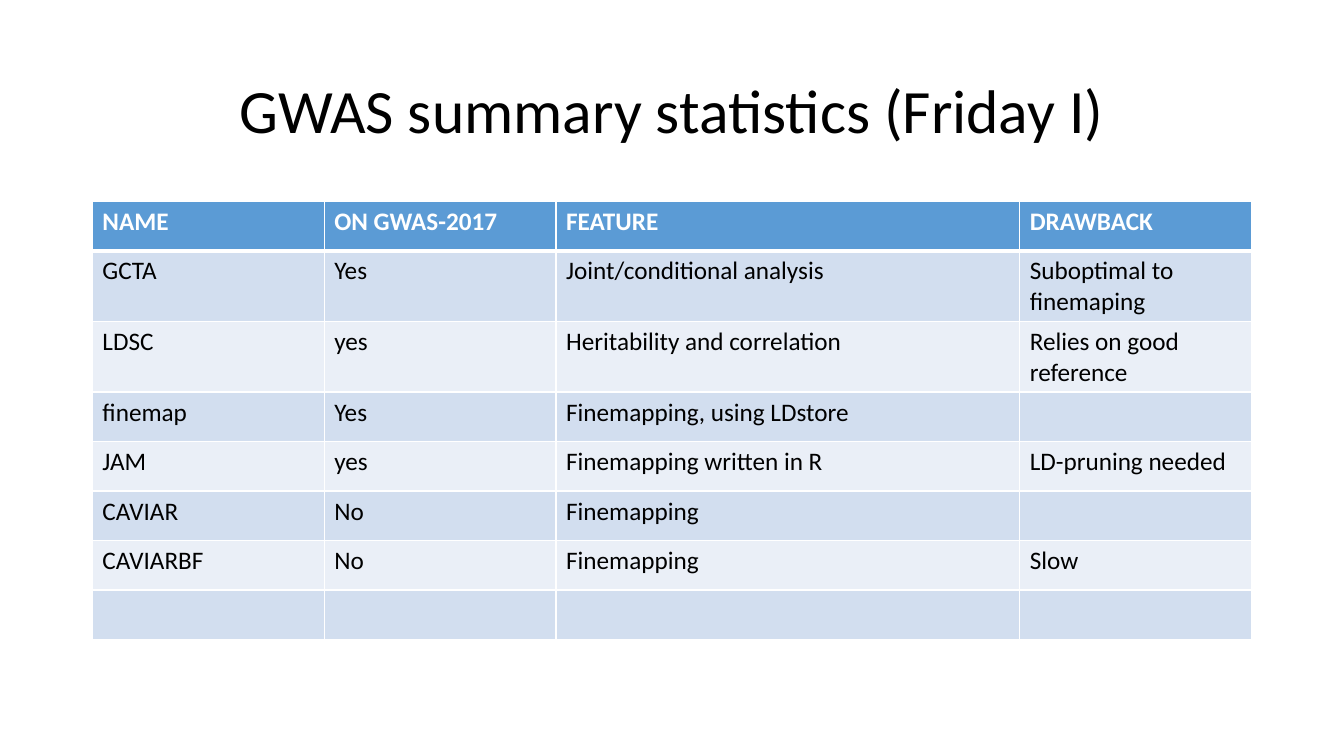
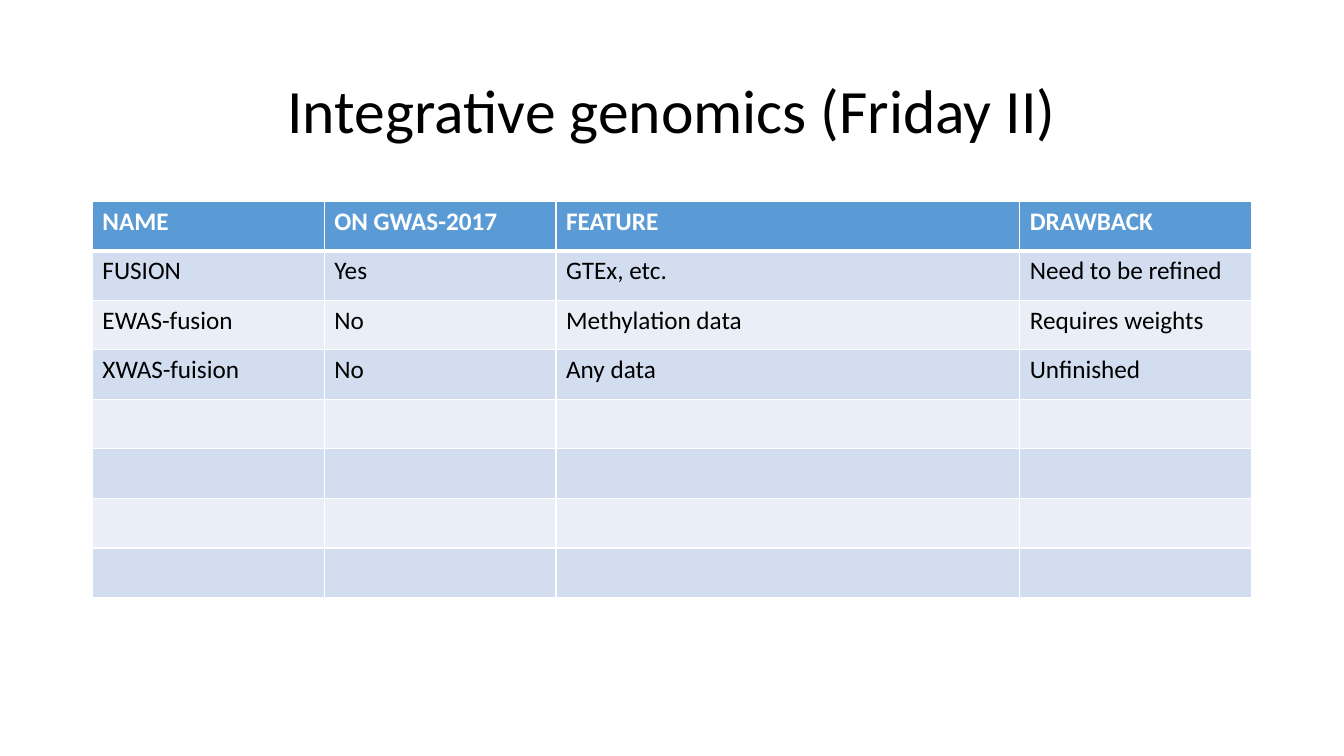
from dataclasses import dataclass

from pptx import Presentation
from pptx.dml.color import RGBColor
from pptx.enum.text import MSO_ANCHOR, PP_ALIGN
from pptx.oxml import parse_xml
from pptx.oxml.ns import nsdecls
from pptx.util import Pt


@dataclass(frozen=True)
class Theme:
    font: str = "Calibri"
    title_size: float = 44
    table_size: float = 18
    text: str = "000000"
    header_text: str = "FFFFFF"
    header_fill: str = "5B9BD5"
    bands: tuple = ("D2DEEF", "EAEFF7")
    rule: str = "FFFFFF"
    thin_rule: float = 1
    header_rule: float = 3


THEME = Theme()
HEADINGS = ("NAME", "ON GWAS-2017", "FEATURE", "DRAWBACK")
BODY_ROWS = 7
SLIDES = [
    ("GWAS summary statistics (Friday I)", [
        ("GCTA", "Yes", "Joint/conditional analysis", "Suboptimal to finemaping"),
        ("LDSC", "yes", "Heritability and correlation", "Relies on good reference"),
        ("finemap", "Yes", "Finemapping, using LDstore", ""),
        ("JAM", "yes", "Finemapping written in R", "LD-pruning needed"),
        ("CAVIAR", "No", "Finemapping", ""),
        ("CAVIARBF", "No", "Finemapping", "Slow"),
    ]),
    ("Integrative genomics (Friday II)", [
        ("FUSION", "Yes", "GTEx, etc.", "Need to be refined"),
        ("EWAS-fusion", "No", "Methylation data", "Requires weights"),
        ("XWAS-fuision", "No", "Any data", "Unfinished"),
    ]),
]

SLIDE_WIDTH, SLIDE_HEIGHT = 960, 540
MARGIN = 66
CONTENT_WIDTH = SLIDE_WIDTH - 2 * MARGIN
TITLE_TOP, TITLE_HEIGHT = 28.75, 104.4
TABLE_TOP, ROW_HEIGHT = 143.75, 35.4
COLUMN_SHARES = (1, 1, 2, 1)


def style_font(font, size, color, bold=False):
    for name, value in {"name": THEME.font, "size": Pt(size), "bold": bold}.items():
        setattr(font, name, value)
    font.color.rgb = RGBColor.from_string(color)


def add_title(slide, title):
    frame = slide.shapes.add_textbox(
        Pt(MARGIN), Pt(TITLE_TOP), Pt(CONTENT_WIDTH), Pt(TITLE_HEIGHT)).text_frame
    frame.word_wrap = True
    frame.vertical_anchor = MSO_ANCHOR.MIDDLE
    paragraph = frame.paragraphs[0]
    paragraph.text = title
    paragraph.alignment = PP_ALIGN.CENTER
    paragraph.line_spacing = 0.9
    style_font(paragraph.runs[0].font, THEME.title_size, THEME.text)


def set_borders(cell, row_index):
    """Rule all four sides, heavier where the header meets the body."""
    widths = dict.fromkeys("LRTB", THEME.thin_rule)
    if row_index < 2:
        widths["B" if row_index == 0 else "T"] = THEME.header_rule
    properties = cell._tc.get_or_add_tcPr()
    for side, width in widths.items():
        properties.append(parse_xml(
            f'<a:ln{side} {nsdecls("a")} w="{Pt(width)}"><a:solidFill>'
            f'<a:srgbClr val="{THEME.rule}"/></a:solidFill></a:ln{side}>'))


def fill_cell(cell, text, row_index):
    is_header = row_index == 0
    fill = THEME.header_fill if is_header else THEME.bands[(row_index - 1) % 2]
    color = THEME.header_text if is_header else THEME.text
    set_borders(cell, row_index)
    cell.fill.solid()
    cell.fill.fore_color.rgb = RGBColor.from_string(fill)
    paragraph = cell.text_frame.paragraphs[0]
    if text:
        paragraph.text = text
        style_font(paragraph.runs[0].font, THEME.table_size, color, is_header)


def add_tool_table(slide, tools):
    spare = [("",) * len(HEADINGS)] * (BODY_ROWS - len(tools))
    rows = [HEADINGS, *tools, *spare]
    table = slide.shapes.add_table(
        len(rows), len(HEADINGS), Pt(MARGIN), Pt(TABLE_TOP),
        Pt(CONTENT_WIDTH), Pt(ROW_HEIGHT * len(rows))).table
    table.horz_banding = False
    for column, share in zip(table.columns, COLUMN_SHARES):
        column.width = Pt(CONTENT_WIDTH * share / sum(COLUMN_SHARES))
    for row_index, (row, texts) in enumerate(zip(table.rows, rows)):
        row.height = Pt(ROW_HEIGHT)
        for cell, text in zip(row.cells, texts):
            fill_cell(cell, text, row_index)


def main():
    deck = Presentation()
    deck.slide_width, deck.slide_height = Pt(SLIDE_WIDTH), Pt(SLIDE_HEIGHT)
    blank = deck.slide_layouts[6]
    for title, tools in SLIDES:
        slide = deck.slides.add_slide(blank)
        add_title(slide, title)
        add_tool_table(slide, tools)
    deck.save("out.pptx")


if __name__ == "__main__":
    main()
